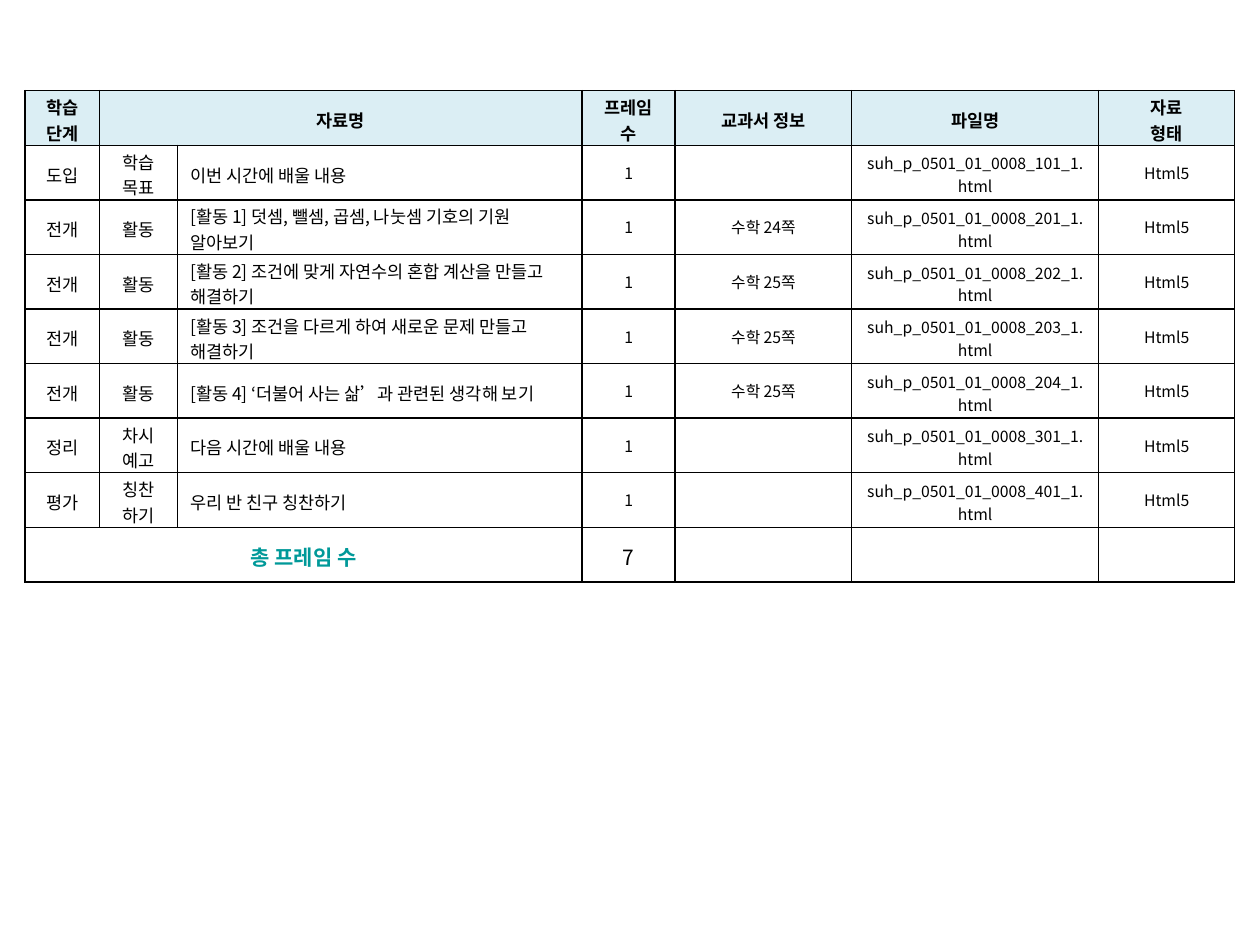
from dataclasses import dataclass

import lxml.etree
import pptx
import pptx.dml.color
import pptx.enum.text
import pptx.oxml.ns
import pptx.table
import pptx.util

Inches = pptx.util.Inches
Align = pptx.enum.text.PP_ALIGN


@dataclass(frozen=True)
class Theme:
    font: str = "Noto Sans CJK KR"
    ink: str = "000000"
    teal: str = "009999"
    head: str = "DBEEF4"
    body: int = 10
    small: int = 9
    total: int = 12
    line: int = 1


@dataclass(frozen=True)
class Style:
    size: int
    color: str
    bold: bool = False
    align: Align = Align.CENTER
    fill: str | None = None
    top: float = 0.03
    bottom: float = 0


@dataclass(frozen=True)
class Item:
    stage: str
    kind: str
    name: str
    pages: str
    code: int


THEME = Theme()
HEAD = Style(THEME.body, THEME.ink, bold=True, fill=THEME.head)
BODY = Style(THEME.body, THEME.ink)
NAME = Style(THEME.body, THEME.ink, align=Align.LEFT)
SMALL = Style(THEME.small, THEME.ink, top=0.02, bottom=0.02)
FILE = Style(THEME.small, THEME.ink, top=0.05, bottom=0.02)
LABEL = Style(THEME.total, THEME.teal, bold=True)
TOTAL = Style(THEME.total, THEME.ink)

WIDTHS = (0.59, 0.62, 3.21, 0.74, 1.4, 1.96, 1.08)
HEIGHT = 3.9
HEADS = ("학습 단계", "자료명", "", "프레임 수", "교과서 정보", "파일명", "자료\n형태")
STYLES = (BODY, BODY, NAME, SMALL, SMALL, FILE, SMALL)
ITEMS = (
    Item("도입", "학습 목표", "이번 시간에 배울 내용", "", 101),
    Item("전개", "활동", "[활동 1] 덧셈, 뺄셈, 곱셈, 나눗셈 기호의 기원 알아보기", "수학 24쪽", 201),
    Item("전개", "활동", "[활동 2] 조건에 맞게 자연수의 혼합 계산을 만들고 해결하기", "수학 25쪽", 202),
    Item("전개", "활동", "[활동 3] 조건을 다르게 하여 새로운 문제 만들고 해결하기", "수학 25쪽", 203),
    Item("전개", "활동", "[활동 4] ‘더불어 사는 삶’과 관련된 생각해 보기", "수학 25쪽", 204),
    Item("정리", "차시 예고", "다음 시간에 배울 내용", "", 301),
    Item("평가", "칭찬\n하기", "우리 반 친구 칭찬하기", "", 401),
)


def add_xml(parent: lxml.etree._Element, tag: str, **attrs: str) -> lxml.etree._Element:
    node = lxml.etree.SubElement(parent, pptx.oxml.ns.qn(tag))
    for key, value in attrs.items():
        node.set(key, value)
    return node


def set_edges(cell: pptx.table._Cell) -> None:
    """Draw all four borders; must run before the fill is set."""
    props = cell._tc.get_or_add_tcPr()
    width = str(pptx.util.Pt(THEME.line))
    for side in ("a:lnL", "a:lnR", "a:lnT", "a:lnB"):
        fill = add_xml(add_xml(props, side, w=width), "a:solidFill")
        add_xml(fill, "a:srgbClr", val=THEME.ink)


def set_cell(cell: pptx.table._Cell, text: str, style: Style) -> None:
    cell.vertical_anchor = pptx.enum.text.MSO_ANCHOR.MIDDLE
    cell.margin_top = Inches(style.top)
    cell.margin_bottom = Inches(style.bottom)
    set_edges(cell)
    if style.fill:
        cell.fill.solid()
        cell.fill.fore_color.rgb = pptx.dml.color.RGBColor.from_string(style.fill)
    else:
        cell.fill.background()
    frame = cell.text_frame
    for index, words in enumerate(text.split("\n")):
        para = frame.add_paragraph() if index else frame.paragraphs[0]
        para.alignment = style.align
        if not words:
            add_xml(para._p, "a:endParaRPr", sz=str(style.size * 100))
            continue
        run = para.add_run()
        run.text = words
        font = run.font
        font.size = pptx.util.Pt(style.size)
        font.bold = style.bold
        font.color.rgb = pptx.dml.color.RGBColor.from_string(style.color)
        font.name = THEME.font


def fill_row(table: pptx.table.Table, row: int, texts: tuple, styles: tuple) -> None:
    for col, (text, style) in enumerate(zip(texts, styles)):
        set_cell(table.cell(row, col), text, style)


def main() -> None:
    deck = pptx.Presentation()
    deck.slide_width, deck.slide_height = Inches(10), Inches(7.5)
    slide = deck.slides.add_slide(deck.slide_layouts[6])

    count = len(ITEMS) + 2
    table = slide.shapes.add_table(
        count, len(WIDTHS), Inches(0.2), Inches(0.72), Inches(sum(WIDTHS)), Inches(HEIGHT)
    ).table
    table.first_row = table.horz_banding = False
    for col, width in zip(table.columns, WIDTHS):
        col.width = Inches(width)
    for row in table.rows:
        row.height = Inches(HEIGHT / count)

    fill_row(table, 0, HEADS, (HEAD,) * len(HEADS))
    for row, item in enumerate(ITEMS, 1):
        file = f"suh_p_0501_01_0008_{item.code}_1.html"
        texts = (item.stage, item.kind, item.name, "1", item.pages, file, "Html5")
        fill_row(table, row, texts, STYLES)
    last = count - 1
    sums = ("총 프레임 수", "", "", str(len(ITEMS)), "", "", "")
    fill_row(table, last, sums, (LABEL,) * 3 + (TOTAL,) * 4)

    table.cell(0, 1).merge(table.cell(0, 2))
    table.cell(last, 0).merge(table.cell(last, 2))
    deck.save("out.pptx")


if __name__ == "__main__":
    main()
